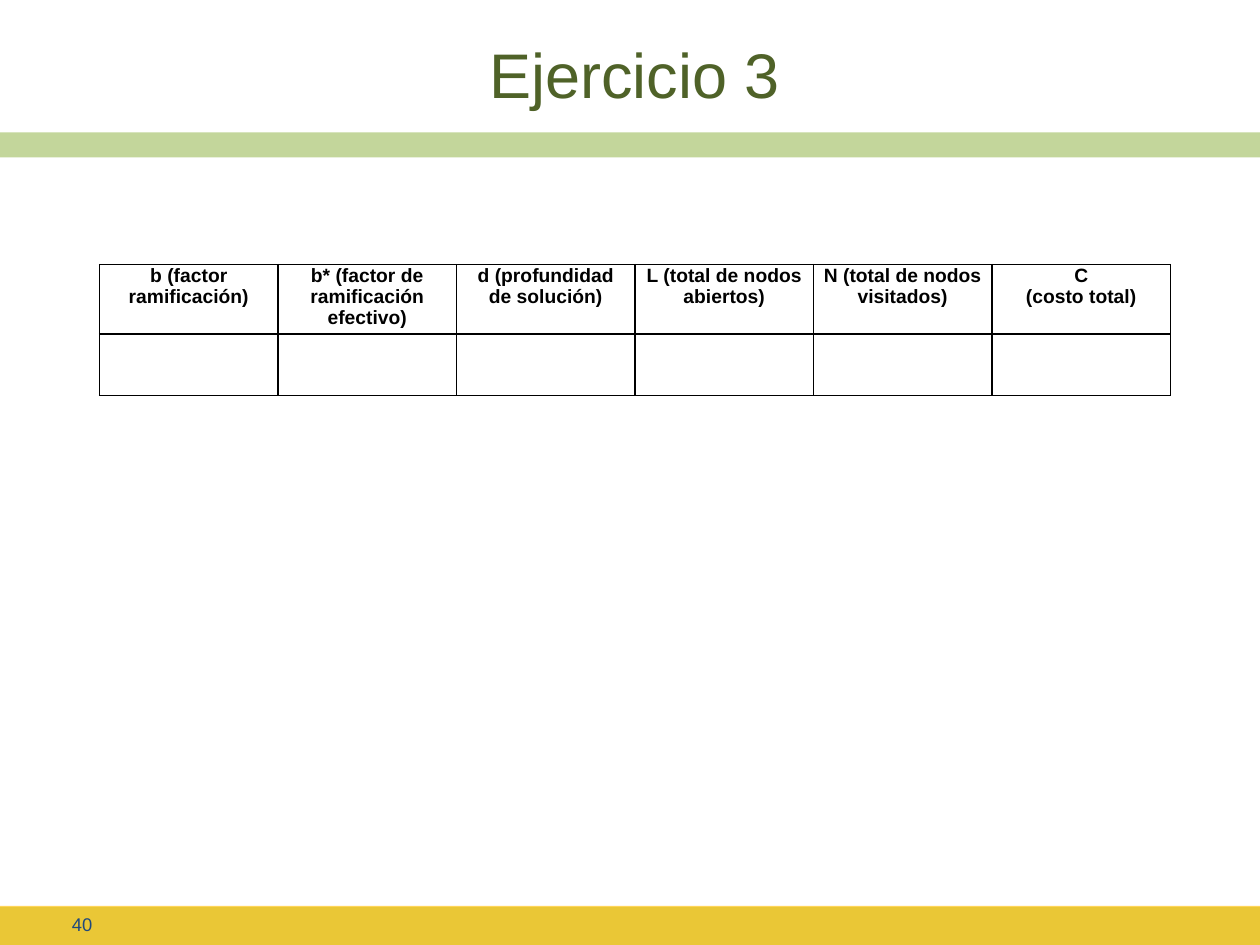
from lxml.etree import SubElement as Sub
from pptx import Presentation
from pptx.dml.color import RGBColor as Rgb
from pptx.enum.shapes import MSO_SHAPE as Geo
from pptx.enum.text import MSO_ANCHOR as Anchor, PP_ALIGN as Align
from pptx.oxml.ns import qn
from pptx.util import Inches, Pt

HEADS = [
    "b (factor ramificación)",
    "b* (factor de ramificación efectivo)",
    "d (profundidad de solución)",
    "L (total de nodos abiertos)",
    "N (total de nodos visitados)",
    "C\n(costo total)",
]


def paint(target, color):
    """Give a fill a solid hex colour."""
    target.solid()
    target.fore_color.rgb = Rgb.from_string(color)


def style(frame, size, color, align, bold=False):
    """Format every paragraph of a text frame."""
    for para in frame.paragraphs:
        para.alignment = align
        font = para.font
        font.name, font.size, font.bold = "Arial", Pt(size), bold
        paint(font.fill, color)


def pad(frame, side, edge):
    """Set the side and edge insets of a text frame or cell."""
    frame.margin_left = frame.margin_right = Inches(side)
    frame.margin_top = frame.margin_bottom = Inches(edge)


def bar(slide, box, color, alpha=None):
    """Draw a plain band, see-through if alpha is given in percent."""
    band = slide.shapes.add_shape(Geo.RECTANGLE, *map(Inches, box))
    band.shadow.inherit = False
    paint(band.fill, color)
    band.line.fill.background()
    if alpha:
        tint = band.fill._xPr.find(f".//{qn('a:srgbClr')}")
        Sub(tint, qn("a:alpha")).set("val", str(alpha * 1000))


def head(slide, box, text):
    """Place and format the title."""
    title = slide.shapes.title
    title.left, title.top, title.width, title.height = map(Inches, box)
    frame = title.text_frame
    frame.text = text
    frame.vertical_anchor = Anchor.MIDDLE
    style(frame, 36, "4F6228", Align.CENTER)


def number(slide, box, text):
    """Write the slide number."""
    frame = slide.shapes.add_textbox(*map(Inches, box)).text_frame
    frame.word_wrap = True
    frame.vertical_anchor = Anchor.MIDDLE
    pad(frame, 0.1, 0.04)
    frame.text = text
    style(frame, 10.5, "1F497D", Align.RIGHT)


def border(cell):
    """Draw thin black lines on all sides of a cell."""
    props = cell._tc.get_or_add_tcPr()
    for spot, side in enumerate(("lnL", "lnR", "lnT", "lnB")):
        line = Sub(props, qn(f"a:{side}"), w=str(Pt(1)))
        Sub(Sub(line, qn("a:solidFill")), qn("a:srgbClr"), val="000000")
        props.insert(spot, line)


def grid(slide, box, heads, rows):
    """Build the table of measures with an empty row for answers."""
    table = slide.shapes.add_table(
        len(rows), len(heads), *map(Inches, box)).table
    for row, high in zip(table.rows, rows):
        row.height = Inches(high)
    for col in table.columns:
        col.width = Inches(box[2] / len(heads))
    for cell in table.iter_cells():
        cell.fill.background()
        pad(cell, 0.07, 0)
        border(cell)
    for cell, text in zip(table.rows[0].cells, heads):
        cell.text = text
        style(cell.text_frame, 11, "000000", Align.CENTER, True)


def main():
    """Build and save the slide."""
    deck = Presentation()
    deck.slide_width, deck.slide_height = Inches(10), Inches(7.5)
    slide = deck.slides.add_slide(deck.slide_layouts[5])
    bar(slide, (0, 1.05, 10, 0.2), "C3D69B")
    bar(slide, (0, 7.2, 10, 0.3), "C3D69B")
    bar(slide, (0, 7.19, 10, 0.31), "FFC000", 65)
    number(slide, (0.34, 7.22, 0.49, 0.23), "40")
    head(slide, (0.35, 0.23, 9.37, 0.71), "Ejercicio 3")
    grid(slide, (0.79, 2.1, 8.5, 1), HEADS, (0.51, 0.49))
    deck.save("out.pptx")


if __name__ == "__main__":
    main()
